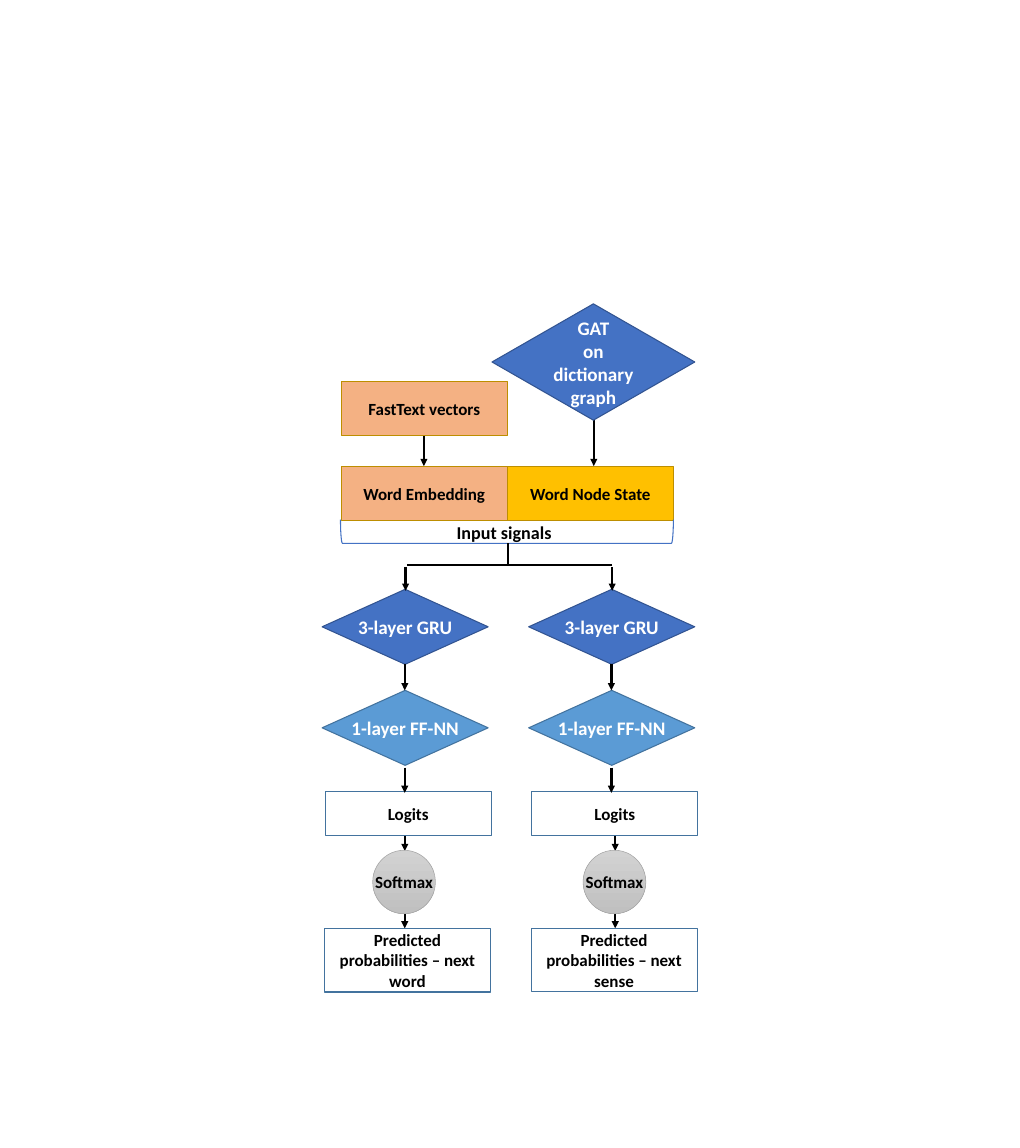
from lxml.etree import SubElement
from pptx import Presentation
from pptx.dml.color import RGBColor
from pptx.enum.shapes import MSO_CONNECTOR, MSO_SHAPE
from pptx.enum.text import MSO_ANCHOR, PP_ALIGN
from pptx.oxml.ns import qn
from pptx.util import Inches, Pt

COLORS = {
    "black": "000000", "white": "FFFFFF",
    "blue": "4472C4", "blue_edge": "325491",
    "sky": "5B9BD5", "sky_edge": "43739E",
    "peach": "F4B183", "gold": "FFC000", "gold_edge": "BD8E00",
    "gray_top": "D2D2D2", "gray_bottom": "C0C0C0", "gray_edge": "A5A5A5",
}
FONT = "Calibri"
BOX_WIDTH = 2.17
INPUT_LEFT, INPUT_TOP, INPUT_HEIGHT = 4.46, 6.09, 0.71
BRANCH_STEP = 2.7
SOFTMAX_STEP = 2.75


def color(name):
    """Return the named colour."""
    return RGBColor.from_string(COLORS[name])


def write(shape, text, size, text_color="black", align=PP_ALIGN.CENTER):
    """Set bold text in a shape and format its runs."""
    shape.text_frame.text = text
    for paragraph in shape.text_frame.paragraphs:
        paragraph.alignment = align
        for run in paragraph.runs:
            run.font.name = FONT
            run.font.size = Pt(size)
            run.font.bold = True
            run.font.color.rgb = color(text_color)


def add_node(slide, kind, box, edge, line_width=1, fill=None):
    """Add an outlined preset shape, filled when a colour is named."""
    shape = slide.shapes.add_shape(kind, *map(Inches, box))
    shape.shadow.inherit = False
    shape.line.color.rgb = color(edge)
    shape.line.width = Pt(line_width)
    if fill:
        shape.fill.solid()
        shape.fill.fore_color.rgb = color(fill)
    else:
        shape.fill.background()
    shape.text_frame.vertical_anchor = MSO_ANCHOR.MIDDLE
    shape.text_frame.word_wrap = True
    return shape


def add_box(slide, text, box, fill, edge, line_width=1):
    """Add a labelled rectangle."""
    shape = add_node(slide, MSO_SHAPE.RECTANGLE, box, edge, line_width, fill)
    write(shape, text, 16)


def add_layer(slide, text, left, top, fill, edge):
    """Add a network layer as a diamond with one line of text."""
    box = (left, top, BOX_WIDTH, 0.98)
    shape = add_node(slide, MSO_SHAPE.DIAMOND, box, edge, fill=fill)
    frame = shape.text_frame
    frame.word_wrap = False
    frame.margin_left = frame.margin_right = Inches(0.04)
    write(shape, text, 18, "white")


def add_softmax(slide, left):
    """Add a softmax circle with a vertical gray gradient."""
    box = (left, 11.11, 0.82, 0.83)
    shape = add_node(slide, MSO_SHAPE.OVAL, box, "gray_edge", 0.5)
    shape.fill.gradient()
    shape.fill.gradient_angle = 270
    for stop, name in zip(shape.fill.gradient_stops, ("gray_top", "gray_bottom")):
        stop.color.rgb = color(name)
    shape.text_frame.word_wrap = False
    write(shape, "Softmax", 16)


def add_line(slide, start, end, width=2.25, arrow=True):
    """Add a straight black line, with an arrowhead at its end by default."""
    connector = slide.shapes.add_connector(
        MSO_CONNECTOR.STRAIGHT, *map(Inches, (*start, *end)))
    connector.line.color.rgb = color("black")
    connector.line.width = Pt(width)
    if arrow:
        SubElement(connector.line._get_or_add_ln(), qn("a:tailEnd"), type="triangle")
    SubElement(connector._element.spPr, qn("a:effectLst"))


def add_down_arrow(slide, x, top, bottom):
    """Add a vertical arrow pointing down."""
    add_line(slide, (x, top), (x, bottom))


def add_inputs(slide):
    """Add the two input signals, their sources and the bracket below."""
    middle = INPUT_LEFT + BOX_WIDTH
    add_down_arrow(slide, 5.54, 5.58, INPUT_TOP)
    add_down_arrow(slide, 7.76, 5.12, INPUT_TOP)
    graph = add_node(slide, MSO_SHAPE.DIAMOND, (6.43, 3.97, 2.65, 1.52),
                     "blue_edge", fill="blue")
    write(graph, "GAT\von dictionary graph", 18, "white")
    for text, left, top, fill in (
            ("Word Embedding", INPUT_LEFT, INPUT_TOP, "peach"),
            ("Word Node State", middle, INPUT_TOP, "gold"),
            ("FastText vectors", INPUT_LEFT, 4.98, "peach")):
        add_box(slide, text, (left, top, BOX_WIDTH, INPUT_HEIGHT), fill, "gold_edge")
    bracket = add_node(slide, MSO_SHAPE.LEFT_BRACKET, (6.47, 4.77, 0.31, 4.35), "blue")
    bracket.rotation = 270
    label = slide.shapes.add_textbox(*map(Inches, (5.87, 6.77, 2, 0.39)))
    label.text_frame.word_wrap = True
    write(label, "Input signals", 17, align=PP_ALIGN.LEFT)


def add_fork(slide):
    """Lead the input signals to both branches."""
    add_line(slide, (6.64, 7.1), (6.64, 7.37), 2, arrow=False)
    add_line(slide, (8, 7.38), (5.32, 7.38), 2, arrow=False)
    for branch in range(2):
        add_down_arrow(slide, 5.3 + branch * BRANCH_STEP, 7.41, 7.72)


def add_branch(slide, branch, target, line_width):
    """Add one column from the recurrent layers to the predicted result."""
    shift = branch * BRANCH_STEP
    softmax_shift = branch * SOFTMAX_STEP
    for top, bottom in ((10.78, 11.12), (11.79, 12.13)):
        add_down_arrow(slide, 5.29 + softmax_shift, top, bottom)
    add_box(slide, f"Predicted probabilities – next {target}",
            (4.24 + shift, 12.13, BOX_WIDTH, 0.83), "white", "sky_edge", line_width)
    add_box(slide, "Logits", (4.25 + shift, 10.34, BOX_WIDTH, 0.58),
            "white", "sky_edge")
    add_softmax(slide, 4.87 + softmax_shift)
    add_layer(slide, "3-layer GRU", 4.21 + shift, 7.7, "blue", "blue_edge")
    add_layer(slide, "1-layer FF-NN", 4.21 + shift, 9.02, "sky", "sky_edge")
    for top, bottom in ((8.68, 9.02), (10.03, 10.36)):
        add_down_arrow(slide, 5.29 + shift, top, bottom)


def main():
    """Build the slide with the two-branch language model."""
    presentation = Presentation()
    presentation.slide_width = Inches(13.33)
    presentation.slide_height = Inches(15)
    slide = presentation.slides.add_slide(presentation.slide_layouts[6])
    add_inputs(slide)
    for branch, (target, line_width) in enumerate((("word", 1.5), ("sense", 1))):
        add_branch(slide, branch, target, line_width)
    add_fork(slide)
    presentation.save("out.pptx")


main()
